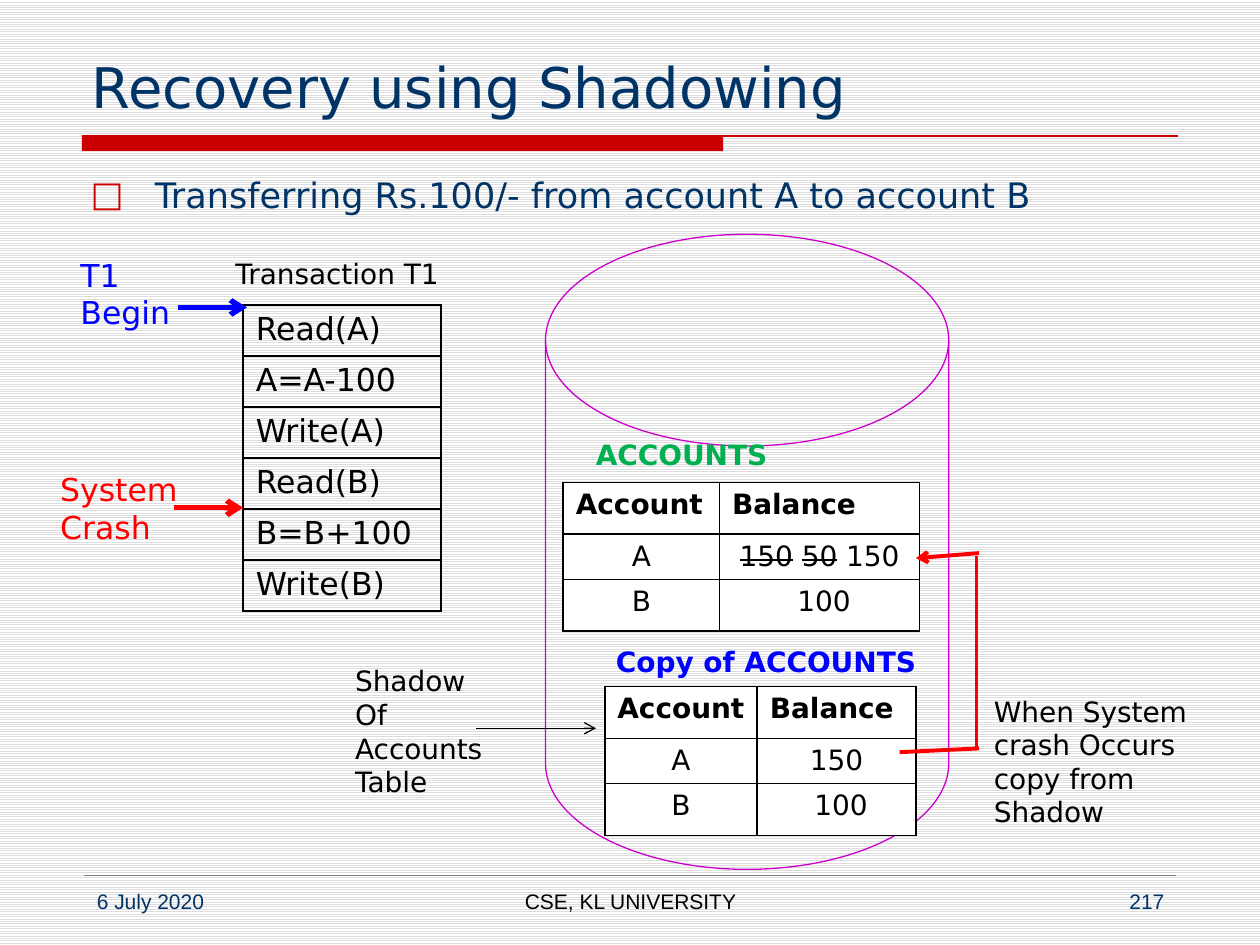
from dataclasses import dataclass

from lxml.etree import SubElement
from pptx import Presentation
from pptx.dml.color import RGBColor
from pptx.enum.dml import MSO_PATTERN
from pptx.enum.shapes import MSO_CONNECTOR, MSO_SHAPE
from pptx.enum.text import MSO_ANCHOR, MSO_AUTO_SIZE, PP_ALIGN
from pptx.oxml.ns import qn
from pptx.util import Inches, Pt


@dataclass(frozen=True)
class Theme:
    font: str = "DejaVu Sans"
    footer_font: str = "Arial"
    navy: str = "003366"
    crimson: str = "CC0000"
    red: str = "FF0000"
    blue: str = "0000FF"
    green: str = "00B050"
    magenta: str = "CC00CC"
    black: str = "000000"
    white: str = "FFFFFF"
    gray: str = "808080"
    stripe: str = "DDDDDD"
    title_size: int = 32
    bullet_size: int = 20
    step_size: int = 18
    label_size: int = 16
    footer_size: int = 12


THEME = Theme()


@dataclass(frozen=True)
class Label:
    text: str
    box: tuple[float, float, float, float]
    color: str = THEME.black
    size: int = THEME.label_size
    font: str = THEME.font
    bold: bool = False
    align: PP_ALIGN = PP_ALIGN.LEFT
    wrap: bool = False


@dataclass(frozen=True)
class Line:
    start: tuple[float, float]
    end: tuple[float, float]
    color: str
    width: float
    arrow: bool = False


@dataclass(frozen=True)
class Grid:
    """A table; text between tildes in a cell is struck through."""
    left: float
    top: float
    columns: tuple[float, ...]
    row_heights: tuple[float, ...]
    rows: tuple[tuple[str, ...], ...]
    size: int = THEME.label_size
    has_header: bool = True
    fill: str | None = THEME.white


ACCOUNT_ROWS = (0.41, 0.36, 0.41)
ACCOUNT_HEADER = ("Account", "Balance")
STEPS = ("Read(A)", "A=A-100", "Write(A)", "Read(B)", "B=B+100", "Write(B)")

GRIDS = (
    Grid(4.47, 3.83, (1.24, 1.59), ACCOUNT_ROWS,
         (ACCOUNT_HEADER, ("A", "~150~ ~50~ 150"), ("B", " 100"))),
    Grid(1.93, 2.42, (1.57,), (0.405,) * len(STEPS), tuple((step,) for step in STEPS),
         size=THEME.step_size, has_header=False, fill=None),
    Grid(4.8, 5.45, (1.21, 1.26), ACCOUNT_ROWS,
         (ACCOUNT_HEADER, ("A", "150"), ("B", " 100"))),
)

LABELS = (
    Label("ACCOUNTS", (4.63, 3.42, 1.58, 0.37), THEME.green, bold=True),
    Label("Transaction T1", (1.77, 1.99, 1.84, 0.37)),
    Label("System\nCrash", (0.38, 3.68, 1.24, 0.71), THEME.red, THEME.step_size),
    Label("T1\nBegin", (0.54, 1.98, 0.91, 0.71), THEME.blue, THEME.step_size),
    Label("Copy of ACCOUNTS", (4.79, 5.07, 2.6, 0.37), THEME.blue, bold=True),
    Label("When System\ncrash Occurs\ncopy from\nShadow", (7.79, 5.46, 1.76, 1.18)),
    Label("Shadow\nOf\nAccounts\nTable", (2.72, 5.22, 1.22, 1.18)),
)

FOOTERS = tuple(
    Label(text, (left, 7, width, 0.35), color, THEME.footer_size, THEME.footer_font,
          align=align, wrap=True)
    for text, left, width, color, align in (
        ("6 July 2020", 0.67, 2.17, THEME.navy, PP_ALIGN.LEFT),
        ("CSE, KL UNIVERSITY", 3.42, 3.17, THEME.black, PP_ALIGN.CENTER),
        ("217", 7.17, 2.17, THEME.navy, PP_ALIGN.RIGHT),
    )
)

RULES = (
    Line((0.65, 1.08), (9.35, 1.08), THEME.crimson, 0.75),
    Line((0.67, 6.95), (9.33, 6.95), THEME.gray, 0.25),
)

ARROWS = (
    Line((1.38, 4.03), (1.93, 4.03), THEME.red, 3, arrow=True),
    Line((1.41, 2.44), (1.96, 2.44), THEME.blue, 3, arrow=True),
    Line((3.78, 5.78), (4.73, 5.78), THEME.black, 0.75, arrow=True),
    Line((7.14, 5.97), (7.77, 5.94), THEME.red, 2.25),
    Line((7.75, 5.94), (7.75, 4.41), THEME.red, 2.25),
    Line((7.77, 4.39), (7.27, 4.43), THEME.red, 2.25, arrow=True),
)


def rgb(color: str) -> RGBColor:
    return RGBColor.from_string(color)


def format_font(font, size: int, color: str, name: str = THEME.font, bold: bool = False) -> None:
    font.name, font.size, font.bold = name, Pt(size), bold
    font.color.rgb = rgb(color)


def add_label(slide, label: Label):
    shape = slide.shapes.add_textbox(*map(Inches, label.box))
    frame = shape.text_frame
    frame.text = label.text
    frame.word_wrap = label.wrap
    frame.auto_size = MSO_AUTO_SIZE.NONE if label.wrap else MSO_AUTO_SIZE.SHAPE_TO_FIT_TEXT
    for paragraph in frame.paragraphs:
        paragraph.alignment = label.align
        for run in paragraph.runs:
            format_font(run.font, label.size, label.color, label.font, label.bold)
    return shape


def add_line(slide, line: Line) -> None:
    connector = slide.shapes.add_connector(
        MSO_CONNECTOR.STRAIGHT, *map(Inches, line.start + line.end))
    connector.line.color.rgb = rgb(line.color)
    connector.line.width = Pt(line.width)
    if line.arrow:
        SubElement(connector.line._get_or_add_ln(), qn("a:tailEnd"), type="arrow")
    SubElement(connector._element.spPr, qn("a:effectLst"))


def add_borders(cell) -> None:
    properties = cell._tc.get_or_add_tcPr()
    for side in ("lnL", "lnR", "lnT", "lnB"):
        border = SubElement(properties, qn(f"a:{side}"), w=str(Pt(1)))
        fill = SubElement(border, qn("a:solidFill"))
        SubElement(fill, qn("a:srgbClr"), val=THEME.black)


def add_grid(slide, grid: Grid) -> None:
    table = slide.shapes.add_table(
        len(grid.rows), len(grid.columns), Inches(grid.left), Inches(grid.top),
        Inches(sum(grid.columns)), Inches(sum(grid.row_heights))).table
    table.first_row = table.horz_banding = False
    for column, width in zip(table.columns, grid.columns):
        column.width = Inches(width)
    for index, (row, height) in enumerate(zip(table.rows, grid.row_heights)):
        row.height = Inches(height)
        is_header = grid.has_header and index == 0
        for cell, text in zip(row.cells, grid.rows[index]):
            add_borders(cell)
            if grid.fill:
                cell.fill.solid()
                cell.fill.fore_color.rgb = rgb(grid.fill)
            else:
                cell.fill.background()
            paragraph = cell.text_frame.paragraphs[0]
            if grid.has_header and not is_header:
                paragraph.alignment = PP_ALIGN.CENTER
            for position, part in enumerate(text.split("~")):
                if not part:
                    continue
                run = paragraph.add_run()
                run.text = part
                format_font(run.font, grid.size, THEME.black, bold=is_header)
                if position % 2:
                    run._r.get_or_add_rPr().set("strike", "sngStrike")


def add_title(slide) -> None:
    title = slide.shapes.title
    title.left, title.top, title.width, title.height = map(Inches, (0.63, 0.17, 8.75, 0.83))
    title.text_frame.text = "Recovery using Shadowing"
    title.text_frame.vertical_anchor = MSO_ANCHOR.BOTTOM
    paragraph = title.text_frame.paragraphs[0]
    paragraph.alignment = PP_ALIGN.LEFT
    format_font(paragraph.runs[0].font, THEME.title_size, THEME.navy)


def add_bullet(slide) -> None:
    shape = add_label(slide, Label(
        "Transferring Rs.100/- from account A to account B", (0.62, 1.33, 8.75, 0.45),
        THEME.navy, THEME.bullet_size, wrap=True))
    properties = shape.text_frame.paragraphs[0]._p.get_or_add_pPr()
    properties.set("marL", str(Inches(0.51)))
    properties.set("indent", str(Inches(-0.51)))
    color = SubElement(properties, qn("a:buClr"))
    SubElement(color, qn("a:srgbClr"), val=THEME.crimson)
    SubElement(properties, qn("a:buFont"), typeface=THEME.font)
    SubElement(properties, qn("a:buChar"), char="□")


def add_shapes(slide) -> None:
    bar = slide.shapes.add_shape(MSO_SHAPE.RECTANGLE, *map(Inches, (0.65, 1.08, 5.09, 0.12)))
    bar.shadow.inherit = False
    bar.fill.solid()
    bar.fill.fore_color.rgb = rgb(THEME.crimson)
    bar.line.fill.background()

    disk = slide.shapes.add_shape(
        MSO_SHAPE.FLOWCHART_MAGNETIC_DISK, *map(Inches, (4.33, 1.86, 3.2, 5.04)))
    disk.shadow.inherit = False
    disk.fill.background()
    disk.line.color.rgb = rgb(THEME.magenta)
    disk.line.width = Pt(0.75)


def main() -> None:
    presentation = Presentation()
    presentation.slide_width, presentation.slide_height = Inches(10), Inches(7.5)
    slide = presentation.slides.add_slide(presentation.slide_layouts[5])
    background = slide.background.fill
    background.patterned()
    background.pattern = MSO_PATTERN.LIGHT_HORIZONTAL
    background.fore_color.rgb = rgb(THEME.stripe)
    background.back_color.rgb = rgb(THEME.white)

    add_title(slide)
    add_bullet(slide)
    add_shapes(slide)
    for grid in GRIDS:
        add_grid(slide, grid)
    for label in LABELS + FOOTERS:
        add_label(slide, label)
    for line in RULES + ARROWS:
        add_line(slide, line)
    presentation.save("out.pptx")


if __name__ == "__main__":
    main()
